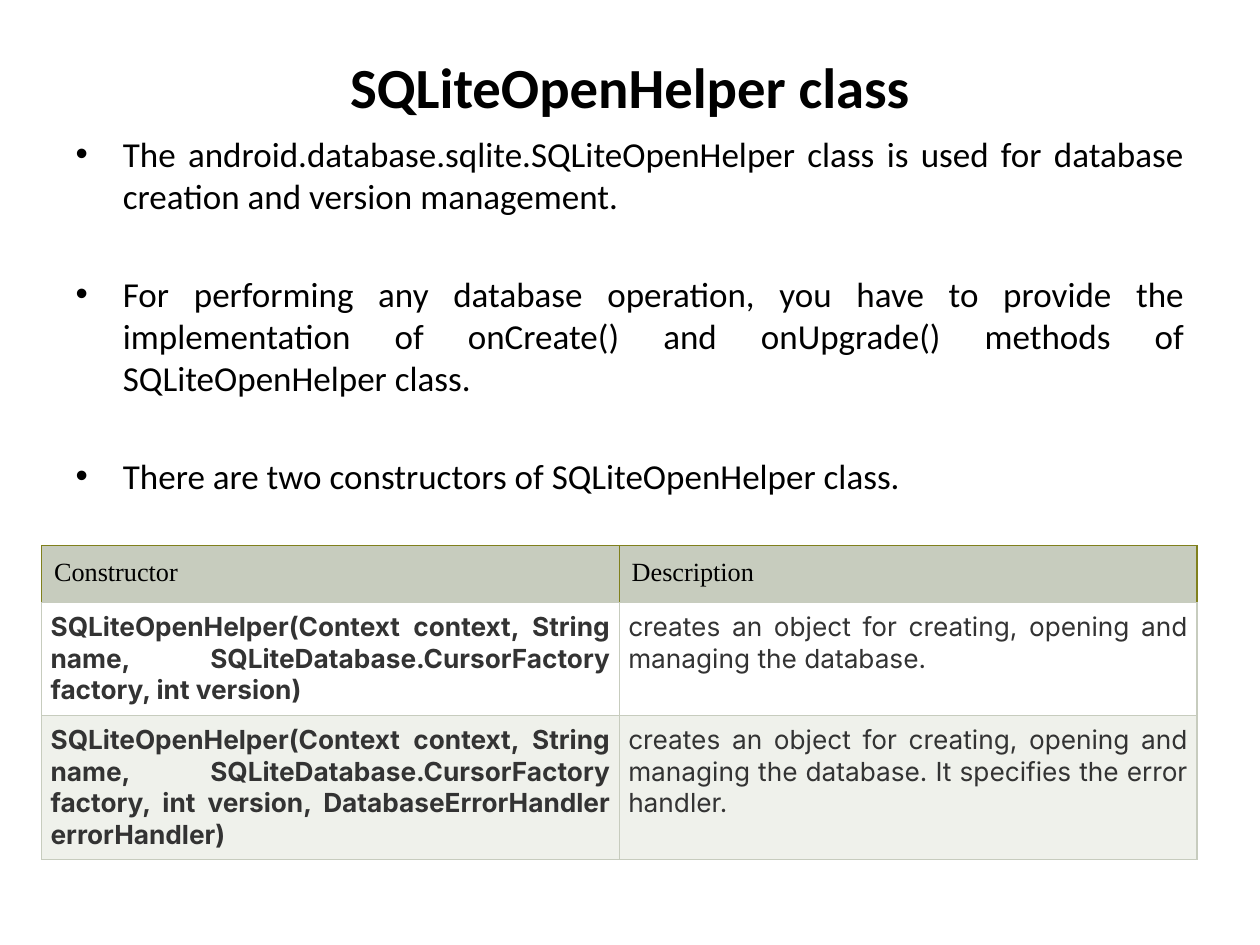
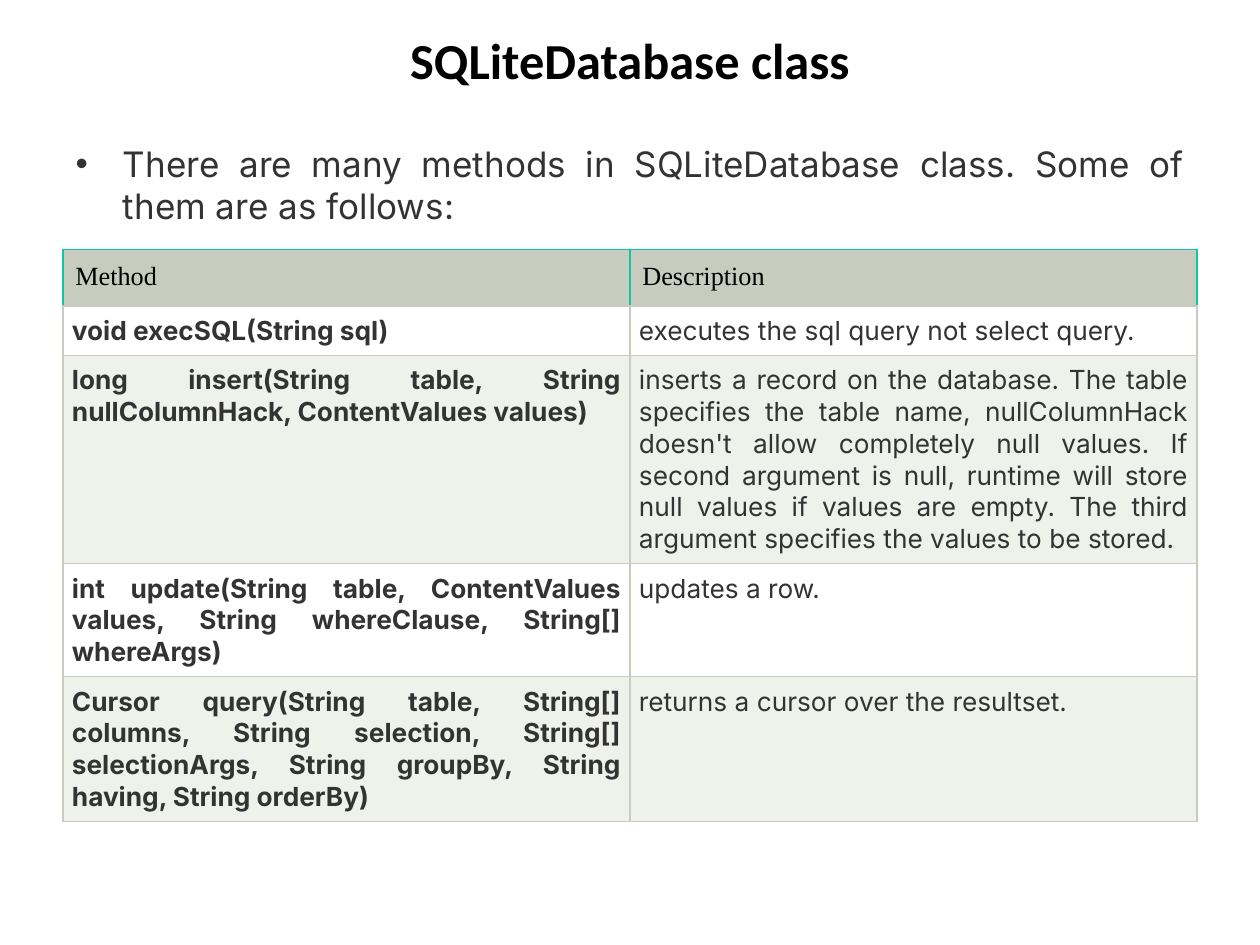
from dataclasses import dataclass

from lxml import etree
from pptx import Presentation
from pptx import util as u
from pptx.dml.color import RGBColor
from pptx.enum import text
from pptx.oxml import ns


@dataclass(frozen=True)
class Theme:
    black: str = "000000"
    ink: str = "333333"
    rule: str = "C7CCBE"
    header_fill: str = "C7CCBE"
    row_fills: tuple = ("FFFFFF", "EFF1EB")
    heading_font: str = "Calibri"
    header_font: str = "Times New Roman"
    cell_font: str = "Inter"
    body_size: float = 20
    table_size: float = 15
    rule_width: float = 0.75


theme = Theme()

PAGES = [
    {
        "title": "SQLiteOpenHelper class",
        "title_size": 32.4,
        "title_box": (1.27, 0.76, 22.86, 1.57),
        "title_inset": 0.29,
        "body_box": (1.27, 2.54, 22.86, 14.48),
        "body_font": theme.heading_font,
        "body_color": theme.black,
        "bullets": [
            "The android.database.sqlite.SQLiteOpenHelper class is used for database "
            "creation and version management.",
            "For performing any database operation, you have to provide the implementation "
            "of onCreate() and onUpgrade() methods of SQLiteOpenHelper class.",
            "There are two constructors of SQLiteOpenHelper class.",
        ],
        "table_box": (0.84, 11, 23.29),
        "row_heights": (1.14, 2.21, 2.82),
        "header_rule": "80801C",
        "rows": [
            ("Constructor", "Description"),
            ("SQLiteOpenHelper(Context context, String name, "
             "SQLiteDatabase.CursorFactory factory, int version)",
             "creates an object for creating, opening and managing the database."),
            ("SQLiteOpenHelper(Context context, String name, "
             "SQLiteDatabase.CursorFactory factory, int version, "
             "DatabaseErrorHandler errorHandler)",
             "creates an object for creating, opening and managing the database. "
             "It specifies the error handler."),
        ],
    },
    {
        "title": "SQLiteDatabase class",
        "title_size": 28.8,
        "title_box": (1.27, 0.5, 22.86, 1.98),
        "title_inset": 0.08,
        "body_box": (1.27, 2.74, 22.86, 14.27),
        "body_font": theme.cell_font,
        "body_color": theme.ink,
        "bullets": [
            "There are many methods in SQLiteDatabase class. Some of them are as follows:",
        ],
        "table_box": (1.27, 5.03, 22.86),
        "row_heights": (1.14, 0.97, 4.06, 2.21, 2.82),
        "header_rule": "10C7A3",
        "rows": [
            ("Method", "Description"),
            ("void execSQL(String sql)", "executes the sql query not select query."),
            ("long insert(String table, String nullColumnHack, ContentValues values)",
             "inserts a record on the database. The table specifies the table name, "
             "nullColumnHack doesn't allow completely null values. If second argument is "
             "null, runtime will store null values if values are empty. The third argument "
             "specifies the values to be stored."),
            ("int update(String table, ContentValues values, String whereClause, "
             "String[] whereArgs)",
             "updates a row."),
            ("Cursor query(String table, String[] columns, String selection, "
             "String[] selectionArgs, String groupBy, String having, String orderBy)",
             "returns a cursor over the resultset."),
        ],
    },
]


def style(para, font, size, color, bold=False, align=text.PP_ALIGN.JUSTIFY):
    para.alignment = align
    para.font.name = font
    para.font.size = u.Pt(size)
    para.font.bold = bold
    para.font.color.rgb = RGBColor.from_string(color)


def set_borders(cell, colors):
    """Draw the left, right, top and bottom cell lines in the given colours."""
    properties = cell._tc.get_or_add_tcPr()
    for index, (side, color) in enumerate(zip("LRTB", colors)):
        line = etree.Element(ns.qn(f"a:ln{side}"), w=str(u.Pt(theme.rule_width)))
        fill = etree.SubElement(line, ns.qn("a:solidFill"))
        etree.SubElement(fill, ns.qn("a:srgbClr"), val=color)
        properties.insert(index, line)


deck = Presentation()
deck.slide_width, deck.slide_height = u.Cm(25.4), u.Cm(19.05)

for content in PAGES:
    page = deck.slides.add_slide(deck.slide_layouts[1])
    title, body = page.shapes.title, page.placeholders[1]
    for box, name in ((title, "title_box"), (body, "body_box")):
        box.left, box.top, box.width, box.height = map(u.Cm, content[name])
        box.text_frame.auto_size = text.MSO_AUTO_SIZE.NONE

    title.text_frame.text = content["title"]
    title.text_frame.vertical_anchor = text.MSO_ANCHOR.TOP
    title.text_frame.margin_top = u.Cm(content["title_inset"])
    style(title.text_frame.paragraphs[0], theme.heading_font, content["title_size"],
          theme.black, True, text.PP_ALIGN.CENTER)

    body.text_frame.text = "\n".join(content["bullets"])
    for index, para in enumerate(body.text_frame.paragraphs):
        style(para, content["body_font"], theme.body_size, content["body_color"])
        para.space_before = u.Pt(32 if index else 0)

    rows, heights = content["rows"], content["row_heights"]
    left, top, width = content["table_box"]
    table = page.shapes.add_table(len(rows), 2, u.Cm(left), u.Cm(top), u.Cm(width),
                                  u.Cm(sum(heights))).table
    table.first_row = table.horz_banding = False
    for row_index, (row, height) in enumerate(zip(rows, heights)):
        table.rows[row_index].height = u.Cm(height)
        is_header = row_index == 0
        fill = theme.header_fill if is_header else theme.row_fills[(row_index - 1) % 2]
        edge = content["header_rule"] if is_header else theme.rule
        top_edge = edge
        inset = u.Cm(0.25 if is_header else 0.18)
        for column, words in enumerate(row):
            cell = table.cell(row_index, column)
            cell.text = words
            cell.fill.solid()
            cell.fill.fore_color.rgb = RGBColor.from_string(fill)
            cell.margin_left = cell.margin_right = inset
            cell.margin_top = cell.margin_bottom = inset
            set_borders(cell, (edge, edge, top_edge, theme.rule))
            para = cell.text_frame.paragraphs[0]
            if is_header:
                style(para, theme.header_font, theme.table_size, theme.black,
                      align=text.PP_ALIGN.LEFT)
            else:
                style(para, theme.cell_font, theme.table_size, theme.ink, column == 0)

deck.save("out.pptx")
